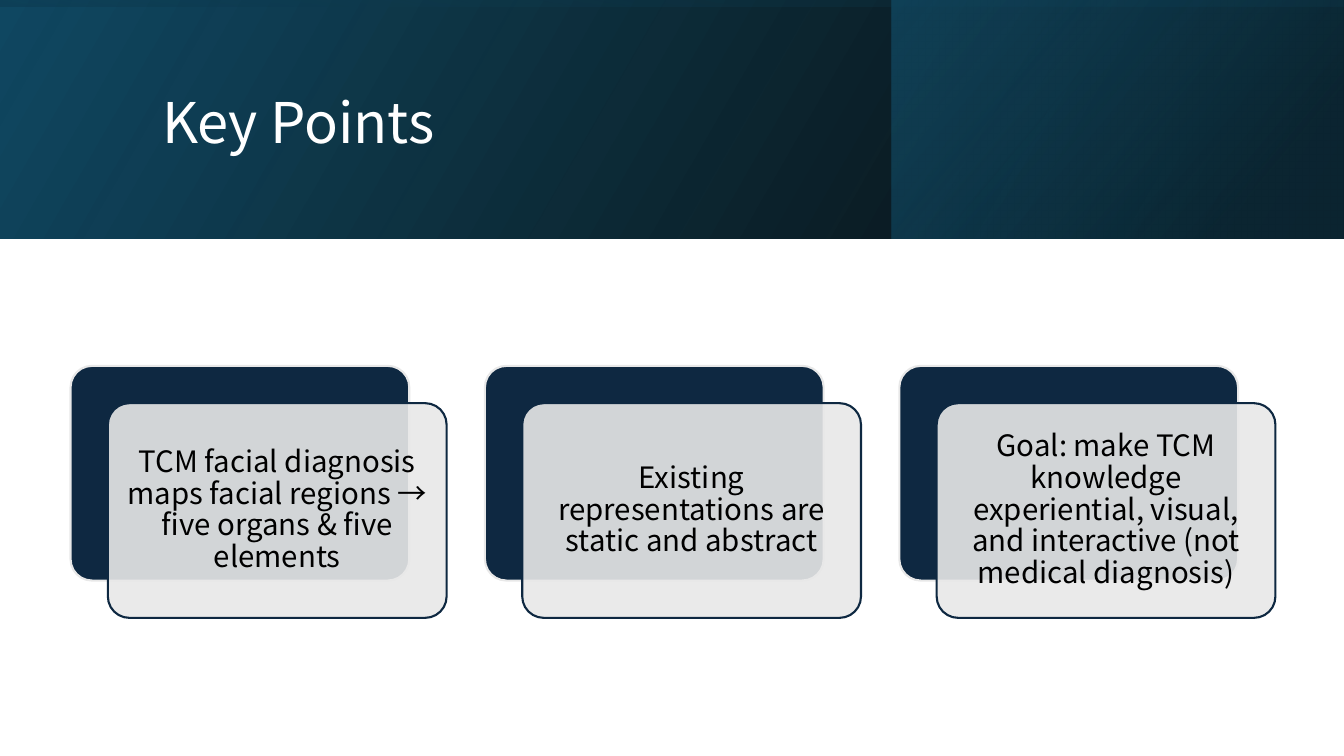
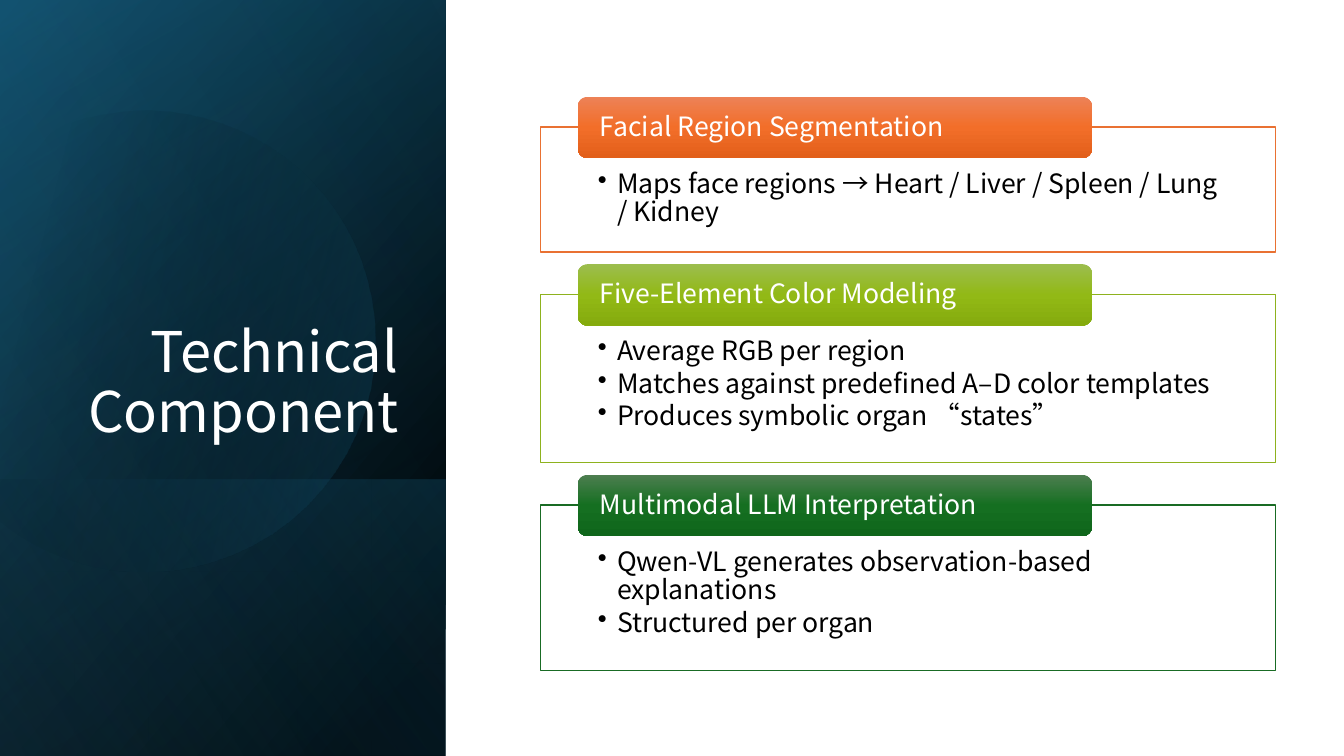
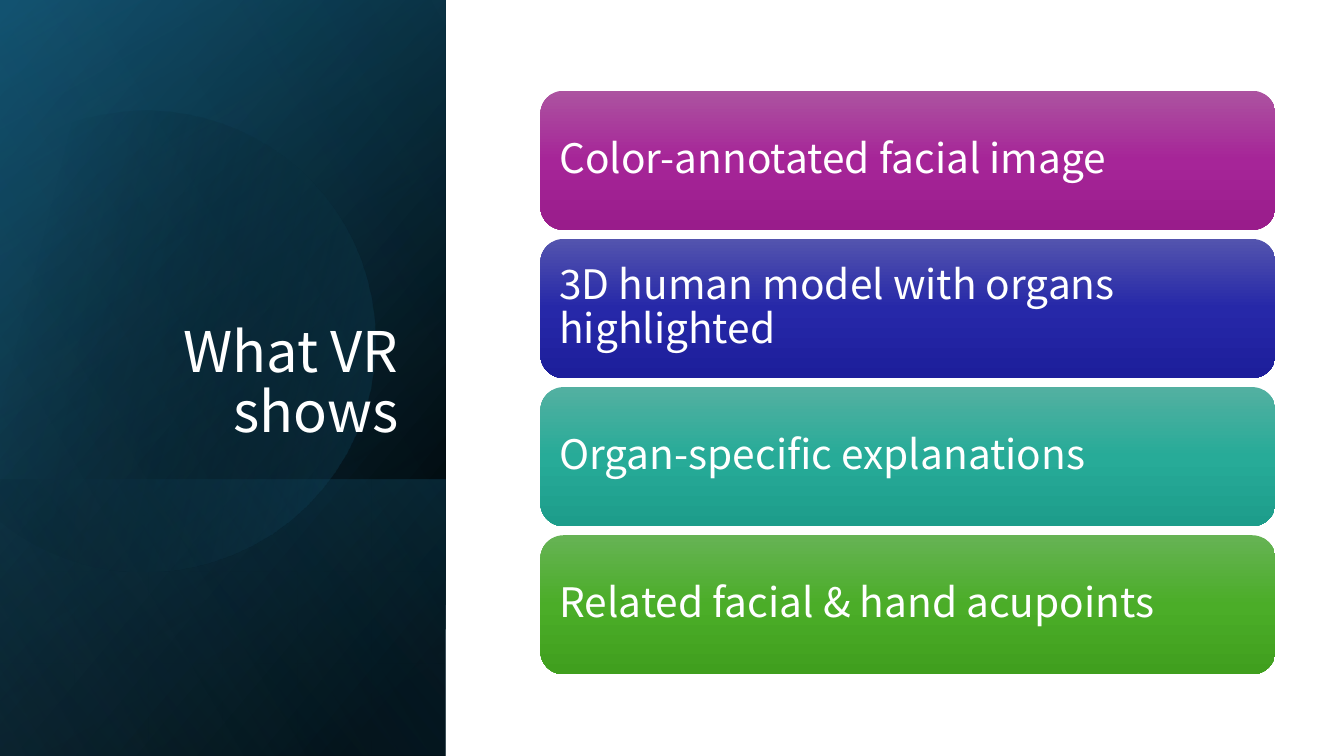
import math

import pptx
import pptx.dml.color
import pptx.enum.shapes
import pptx.enum.text
import pptx.oxml.ns
import pptx.oxml.xmlchemy
import pptx.util
from lxml import etree

Inches = pptx.util.Inches
Pt = pptx.util.Pt
RGBColor = pptx.dml.color.RGBColor
qn = pptx.oxml.ns.qn
SHAPES = pptx.enum.shapes.MSO_SHAPE
ALIGN = pptx.enum.text.PP_ALIGN
ANCHOR = pptx.enum.text.MSO_ANCHOR

FONT = "Noto Sans CJK SC"
SLIDE_W, SLIDE_H = 13.33, 7.5
SIDE_W, TOP_H = 4.42, 2.37
CONTENT_X, CONTENT_W = 5.36, 7.29

WHITE = RGBColor(0xFF, 0xFF, 0xFF)
BLACK = RGBColor(0x00, 0x00, 0x00)
NAVY = RGBColor(0x0E, 0x28, 0x41)
LIGHT_GREY = RGBColor(0xE8, 0xE8, 0xE8)
DEEP_TEAL = RGBColor(0x10, 0x48, 0x62)
DARK_TEAL = RGBColor(0x0B, 0x30, 0x41)
TEAL = RGBColor(0x15, 0x60, 0x82)
SKY = RGBColor(0x46, 0xB1, 0xE1)
ORANGE = RGBColor(0xE9, 0x71, 0x32)
LIME = RGBColor(0x8E, 0xB2, 0x1E)
GREEN = RGBColor(0x19, 0x6B, 0x24)

# Light, middle and dark stops of the glossy fills
ORANGE_GLOSS = (RGBColor(0xED, 0x82, 0x57), RGBColor(0xF2, 0x6E, 0x29), RGBColor(0xE2, 0x5F, 0x1A))
LIME_GLOSS = (RGBColor(0x9C, 0xBD, 0x4E), RGBColor(0x92, 0xB9, 0x16), RGBColor(0x85, 0xAB, 0x0D))
GREEN_GLOSS = (RGBColor(0x4D, 0x7E, 0x50), RGBColor(0x15, 0x6F, 0x21), RGBColor(0x0F, 0x66, 0x1B))
PURPLE_GLOSS = (RGBColor(0xAC, 0x53, 0xA0), RGBColor(0xA6, 0x25, 0x98), RGBColor(0x99, 0x1C, 0x8B))
INDIGO_GLOSS = (RGBColor(0x53, 0x54, 0xAE), RGBColor(0x26, 0x28, 0xA8), RGBColor(0x1D, 0x1E, 0x9B))
AQUA_GLOSS = (RGBColor(0x53, 0xB0, 0xA1), RGBColor(0x27, 0xAB, 0x98), RGBColor(0x1D, 0x9D, 0x8B))
LEAF_GLOSS = (RGBColor(0x66, 0xB3, 0x54), RGBColor(0x4B, 0xAD, 0x28), RGBColor(0x40, 0x9F, 0x1E))


def set_alpha(color_element, percent):
    etree.SubElement(color_element, qn("a:alpha")).set("val", str(percent * 1000))


def fill_gradient(shape, stops, angle):
    """Fill with (position, colour, opacity) stops; the angle runs clockwise."""
    shape.fill.gradient()
    shape.fill.gradient_angle = (360 - angle) % 360
    stop_list = shape.element.spPr.find(qn("a:gradFill")).find(qn("a:gsLst"))
    for old_stop in list(stop_list):
        stop_list.remove(old_stop)
    for position, color, opacity in stops:
        stop = etree.SubElement(stop_list, qn("a:gs"))
        stop.set("pos", str(position * 1000))
        color_element = etree.SubElement(stop, qn("a:srgbClr"))
        color_element.set("val", str(color))
        if opacity < 100:
            set_alpha(color_element, opacity)


def fill_gloss(shape, colors):
    fill_gradient(shape, [(i * 50, color, 100) for i, color in enumerate(colors)], 90)


def add_box(slide, kind, box, fill=None, opacity=100, line=None, line_width=1.0):
    shape = slide.shapes.add_shape(kind, *map(Inches, box))
    shape.shadow.inherit = False
    if fill is not None:
        shape.fill.solid()
        shape.fill.fore_color.rgb = fill
        if opacity < 100:
            set_alpha(shape.element.spPr.find(qn("a:solidFill"))[0], opacity)
    if line is None:
        shape.line.fill.background()
    else:
        shape.line.color.rgb = line
        shape.line.width = Pt(line_width)
    return shape


def add_bullet(paragraph, indent):
    properties = paragraph._p.get_or_add_pPr()
    properties.set("marL", str(Inches(indent)))
    properties.set("indent", str(-Inches(indent)))
    etree.SubElement(properties, qn("a:buChar")).set("char", "•")


def write_text(shape, *lines, size, color=WHITE, align=ALIGN.LEFT, anchor=ANCHOR.MIDDLE,
               insets=(0.1, 0.05, 0.1, 0.05), bullet_indent=None, space_after=0):
    frame = shape.text_frame
    frame.word_wrap = True
    frame.vertical_anchor = anchor
    (frame.margin_left, frame.margin_top,
     frame.margin_right, frame.margin_bottom) = map(Inches, insets)
    for i, line in enumerate(lines):
        paragraph = frame.add_paragraph() if i else frame.paragraphs[0]
        if bullet_indent:
            add_bullet(paragraph, bullet_indent)
        paragraph.alignment = align
        paragraph.line_spacing = 0.9
        paragraph.space_after = Pt(space_after)
        run = paragraph.add_run()
        run.text = line
        run.font.size = Pt(size)
        run.font.name = FONT
        run.font.color.rgb = color
        etree.SubElement(run._r.get_or_add_rPr(), qn("a:ea")).set("typeface", FONT)


def add_title(slide, text, box, **text_format):
    write_text(slide.shapes.add_textbox(*map(Inches, box)), text, size=40, **text_format)


def add_veil(slide, box, stops, angle, rotation=0):
    """Cover the box with a mirrored gradient rectangle, turned by quarter turns."""
    left, top, width, height = box
    if rotation % 180:
        left, top = left + (width - height) / 2, top + (height - width) / 2
        width, height = height, width
    veil = add_box(slide, SHAPES.RECTANGLE, (left, top, width, height))
    veil.rotation = rotation
    veil.element.spPr.find(qn("a:xfrm")).set("flipH", "1")
    fill_gradient(veil, stops, angle)


def bezier(start, control_1, control_2, end, steps=16):
    for step in range(1, steps + 1):
        t = step / steps
        weights = ((1 - t) ** 3, 3 * t * (1 - t) ** 2, 3 * t * t * (1 - t), t ** 3)
        yield tuple(sum(w * point[axis] for w, point in
                        zip(weights, (start, control_1, control_2, end)))
                    for axis in (0, 1))


def add_disc(slide, center=(1.58, 3.34), rotation=343.9):
    """Add the large translucent disc, cut off at the slide's left edge."""
    outline = [(1.49, 1.1)]
    for curve in (((2.46, 1.12), (3.35, 1.77), (3.63, 2.75)),
                  ((3.98, 3.97), (3.28, 5.23), (2.07, 5.58)),
                  ((1.31, 5.8), (0.53, 5.61), (-0.03, 5.14))):
        outline += bezier(outline[-1], *curve)
    outline += [(-0.15, 5.03), (-0.15, 1.75), (0, 1.61)]
    for curve in (((0.23, 1.42), (0.5, 1.28), (0.8, 1.19)),
                  ((1.03, 1.13), (1.26, 1.1), (1.49, 1.1))):
        outline += bezier(outline[-1], *curve)

    turn = math.radians(-rotation)
    unturned = []
    for x, y in outline:
        dx, dy = x - center[0], y - center[1]
        unturned.append((Inches(center[0] + dx * math.cos(turn) - dy * math.sin(turn)),
                         Inches(center[1] + dx * math.sin(turn) + dy * math.cos(turn))))
    builder = slide.shapes.build_freeform(*unturned[0])
    builder.add_line_segments(unturned[1:], close=True)
    disc = builder.convert_to_shape()
    disc.rotation = rotation
    disc.shadow.inherit = False
    disc.line.fill.background()
    fill_gradient(disc, [(29, BLACK, 0), (100, TEAL, 43)], 30)


def add_top_band(slide, title):
    band = (0, 0, SLIDE_W, TOP_H)
    add_veil(slide, band, [(0, BLACK, 96), (100, DEEP_TEAL, 100)], 330)
    add_veil(slide, (8.84, 0, 4.48, TOP_H), [(19, DARK_TEAL, 68), (100, TEAL, 48)], 320)
    add_veil(slide, band, [(23, DEEP_TEAL, 16), (99, BLACK, 45)], 350, rotation=270)
    add_title(slide, title, (1.51, 0.38, 10.63, 1.72))


def add_side_band(slide, title):
    band = (0, 0, SIDE_W, SLIDE_H)
    add_veil(slide, band, [(8, BLACK, 100), (100, DEEP_TEAL, 100)], 50, rotation=90)
    add_veil(slide, band, [(0, BLACK, 0), (99, TEAL, 46)], 30, rotation=90)
    add_veil(slide, (0, 4.76, SIDE_W, 2.74), [(2, TEAL, 29), (100, BLACK, 30)], 130, rotation=90)
    add_disc(slide)
    add_veil(slide, band, [(0, BLACK, 0), (99, SKY, 11)], 120, rotation=90)
    add_title(slide, title, (0.64, 1.84, 3.41, 2.62), align=ALIGN.RIGHT, anchor=ANCHOR.BOTTOM)


def add_point_card(slide, left, top, point):
    width, height, offset = 3.36, 2.13, 0.37
    back = add_box(slide, SHAPES.ROUNDED_RECTANGLE, (left, top, width, height),
                   fill=NAVY, line=LIGHT_GREY, line_width=1.5)
    front = add_box(slide, SHAPES.ROUNDED_RECTANGLE, (left + offset, top + offset, width, height),
                    fill=LIGHT_GREY, opacity=90, line=NAVY, line_width=1.5)
    for layer in (back, front):
        layer.adjustments[0] = 0.1
    write_text(front, point, size=21, color=BLACK, align=ALIGN.CENTER, insets=(0.09,) * 4)


def add_component(slide, box, heading, details, outline, gloss):
    left, top, width, _ = box
    frame = add_box(slide, SHAPES.RECTANGLE, box, fill=WHITE, opacity=90, line=outline)
    write_text(frame, *details, size=19, color=BLACK, anchor=ANCHOR.TOP,
               insets=(0.57, 0.43, 0.57, 0.15), bullet_indent=0.19, space_after=2.7)
    tab = add_box(slide, SHAPES.ROUNDED_RECTANGLE, (left + 0.37, top - 0.3, width * 0.7, 0.61))
    fill_gloss(tab, gloss)
    write_text(tab, heading, size=19, insets=(0.19, 0, 0.19, 0))


def build_key_points(slide):
    add_top_band(slide, "Key Points")
    points = (
        "TCM facial diagnosis maps facial regions → five organs & five elements",
        "Existing representations are static and abstract",
        "Goal: make TCM knowledge experiential, visual, and interactive (not medical diagnosis)",
    )
    for i, point in enumerate(points):
        add_point_card(slide, 0.7 + i * 4.11, 3.63, point)


def build_technical_component(slide):
    add_side_band(slide, "Technical Component")
    components = (
        ("Facial Region Segmentation", 1.24, ORANGE, ORANGE_GLOSS,
         ["Maps face regions → Heart / Liver / Spleen / Lung / Kidney"]),
        ("Five-Element Color Modeling", 1.67, LIME, LIME_GLOSS,
         ["Average RGB per region",
          "Matches against predefined A–D color templates",
          "Produces symbolic organ “states”"]),
        ("Multimodal LLM Interpretation", 1.64, GREEN, GREEN_GLOSS,
         ["Qwen-VL generates observation-based explanations",
          "Structured per organ"]),
    )
    top, gap = 1.26, 0.42
    for heading, height, outline, gloss, details in components:
        add_component(slide, (CONTENT_X, top, CONTENT_W, height), heading, details, outline, gloss)
        top += height + gap


def build_vr_views(slide):
    add_side_band(slide, "What VR shows")
    views = (
        ("Color-annotated facial image", PURPLE_GLOSS),
        ("3D human model with organs highlighted", INDIGO_GLOSS),
        ("Organ-specific explanations", AQUA_GLOSS),
        ("Related facial & hand acupoints", LEAF_GLOSS),
    )
    top, height, gap = 0.9, 1.38, 0.09
    for i, (view, gloss) in enumerate(views):
        bar = add_box(slide, SHAPES.ROUNDED_RECTANGLE,
                      (CONTENT_X, top + i * (height + gap), CONTENT_W, height))
        fill_gloss(bar, gloss)
        write_text(bar, view, size=29, insets=(0.12,) * 4)


def main():
    deck = pptx.Presentation()
    deck.slide_width, deck.slide_height = Inches(SLIDE_W), Inches(SLIDE_H)
    for build in (build_key_points, build_technical_component, build_vr_views):
        build(deck.slides.add_slide(deck.slide_layouts[6]))
    deck.save("out.pptx")


if __name__ == "__main__":
    main()
